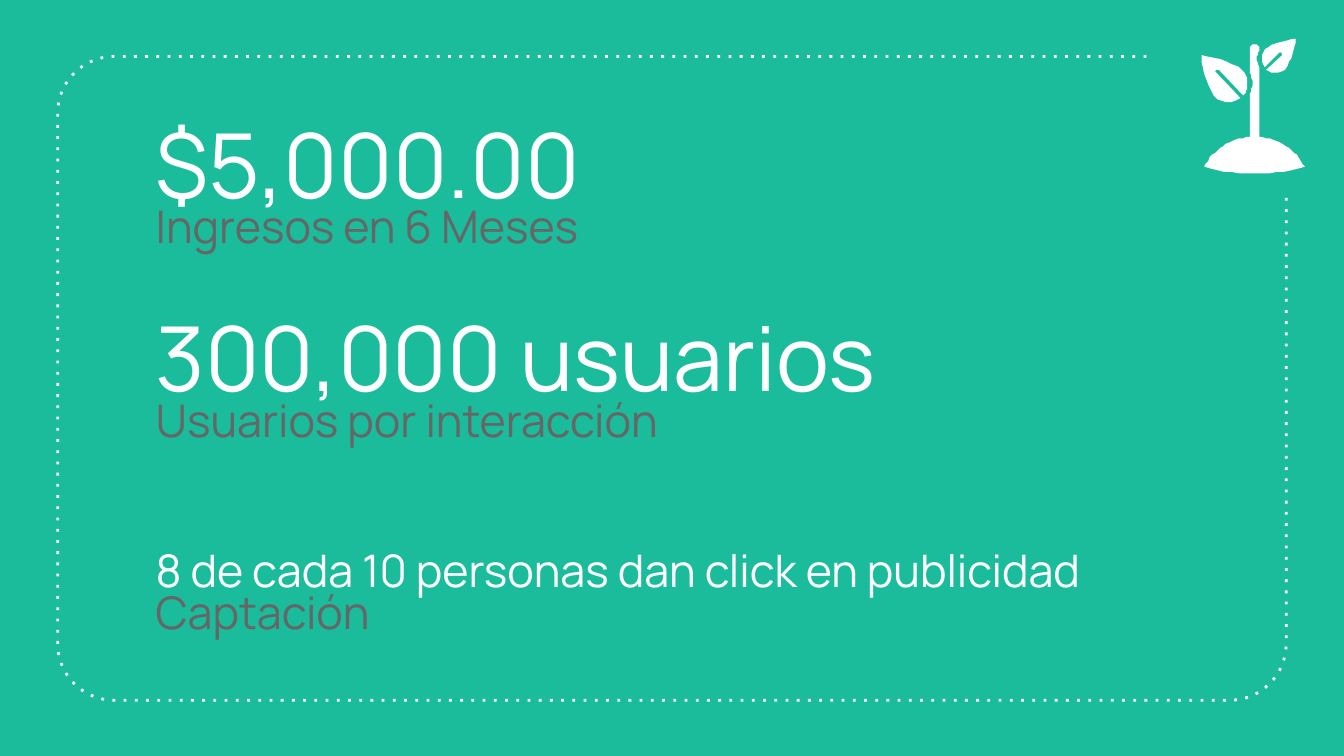
from math import cos, radians, sin

from lxml import etree
from pptx import Presentation
from pptx.dml.color import RGBColor
from pptx.enum.text import MSO_ANCHOR, PP_ALIGN
from pptx.oxml.ns import qn
from pptx.util import Inches, Pt

GREEN = RGBColor(0x1A, 0xBC, 0x9C)
WHITE = RGBColor(0xFF, 0xFF, 0xFF)
GRAY = RGBColor(0x66, 0x66, 0x66)
FONT = "Manrope"

# Outlines of the plant, in hundredths of an inch from its top left corner
SMALL_LEAF = [
    (69, 0), (67, 0), (64, 1), (60, 2), (56, 3), (53, 4), (51, 5), (50, 6),
    (48, 7), (47, 8), (46, 10), (45, 12), (45, 17), (46, 19), (47, 21),
    (58, 10), (59, 10), (60, 11), (60, 12), (48, 23), (50, 24), (52, 25),
    (57, 25), (60, 24), (62, 23), (64, 20), (65, 17), (67, 14), (68, 10),
    (69, 6), (70, 3), (70, 0),
]
STEM_AND_SOIL = [
    (39, 4), (38, 4), (37, 5), (36, 6), (36, 25), (37, 27), (37, 29), (38, 31),
    (38, 35), (37, 37), (37, 39), (36, 41), (36, 73), (33, 73), (31, 74),
    (28, 74), (25, 75), (23, 76), (21, 77), (18, 78), (16, 80), (14, 81),
    (12, 83), (10, 85), (8, 86), (6, 88), (5, 91), (3, 93), (2, 95), (5, 96),
    (9, 97), (13, 98), (17, 99), (22, 99), (28, 100), (51, 100), (56, 99),
    (61, 99), (66, 98), (70, 97), (74, 96), (77, 95), (75, 93), (74, 91),
    (72, 88), (71, 86), (69, 85), (67, 83), (65, 81), (63, 80), (60, 78),
    (58, 77), (56, 76), (53, 75), (51, 74), (48, 74), (45, 73), (43, 73),
    (43, 21), (42, 19), (42, 18), (41, 16), (41, 13), (42, 12), (42, 10),
    (43, 9), (43, 6), (42, 5), (41, 4),
]
BIG_LEAF = [
    (0, 12), (0, 17), (1, 21), (2, 26), (4, 31), (5, 34), (6, 36), (7, 38),
    (8, 40), (9, 42), (10, 43), (12, 45), (15, 46), (18, 47), (22, 47),
    (25, 46), (27, 45), (29, 44), (11, 25), (10, 24), (11, 23), (13, 23),
    (31, 42), (33, 40), (33, 39), (34, 37), (34, 29), (33, 27), (32, 25),
    (31, 24), (30, 23), (28, 21), (26, 20), (23, 19), (21, 18), (19, 17),
    (14, 15), (9, 14), (4, 13),
]


def add_outline(shapes, points, close=True):
    """Freeform through points given in inches."""
    emu = [(Inches(x), Inches(y)) for x, y in points]
    builder = shapes.build_freeform(*emu[0])
    builder.add_line_segments(emu[1:], close=close)
    sp = builder.convert_to_shape()
    sp.shadow.inherit = False
    return sp


def corner(cx, cy, radius, start):
    """Points of a quarter turn, anticlockwise on screen from start degrees."""
    angles = [radians(start + 90 * i / 16) for i in range(17)]
    return [(cx + radius * cos(a), cy - radius * sin(a)) for a in angles]


def add_frame(slide, left, top, width, height, radius=0.42):
    """Dotted rounded frame, open at the top right corner."""
    right, bottom = left + width, top + height
    points = [
        (right - 1.04, top),
        *corner(left + radius, top + radius, radius, 90),
        *corner(left + radius, bottom - radius, radius, 180),
        *corner(right - radius, bottom - radius, radius, 270),
        (right, top + 1.04),
    ]
    sp = add_outline(slide.shapes, points, close=False)
    sp.fill.background()
    sp.line.color.rgb = WHITE
    sp.line.width = Pt(1.5)
    ln = sp._element.spPr.find(qn("a:ln"))
    etree.SubElement(ln, qn("a:prstDash"), val="dot")


def add_plant(slide, left, top):
    group = slide.shapes.add_group_shape()
    for outline in (SMALL_LEAF, STEM_AND_SOIL, BIG_LEAF):
        points = [(left + x / 100, top + y / 100) for x, y in outline]
        sp = add_outline(group.shapes, points)
        sp.fill.solid()
        sp.fill.fore_color.rgb = WHITE
        sp.line.fill.background()


def add_text(slide, text, left, top, width, height, size, color):
    tf = slide.shapes.add_textbox(
        Inches(left), Inches(top), Inches(width), Inches(height)).text_frame
    tf.word_wrap = True
    tf.vertical_anchor = MSO_ANCHOR.TOP
    tf.margin_left = tf.margin_right = Inches(0.1)
    tf.margin_top = tf.margin_bottom = Inches(0.1)
    p = tf.paragraphs[0]
    p.text = text
    p.alignment = PP_ALIGN.LEFT
    p.font.name = FONT
    p.font.size = Pt(size)
    p.font.color.rgb = color


def add_figure(slide, left, top, width, figure, size, label, label_offset):
    add_text(slide, figure, left, top, width, 0.98, size, WHITE)
    add_text(slide, label, left, top + label_offset, width, 0.51, 24, GRAY)


def main():
    prs = Presentation()
    prs.slide_width = Inches(10)
    prs.slide_height = prs.slide_width * 9 // 16
    slide = prs.slides.add_slide(prs.slide_layouts[6])
    slide.background.fill.solid()
    slide.background.fill.fore_color.rgb = GREEN

    add_frame(slide, 0.43, 0.42, 9.14, 4.79)
    figures = [
        (0.71, "$5,000.00", 48, "Ingresos en 6 Meses", 0.67),
        (2.15, "300,000 usuarios", 48, "Usuarios por interacción", 0.67),
        (3.94, "8 de cada 10 personas dan click en publicidad", 24,
         "Captación", 0.31),
    ]
    for top, *figure in figures:
        add_figure(slide, 1.06, top, 7.87, *figure)
    add_plant(slide, 8.94, 0.29)
    prs.save("out.pptx")


if __name__ == "__main__":
    main()
